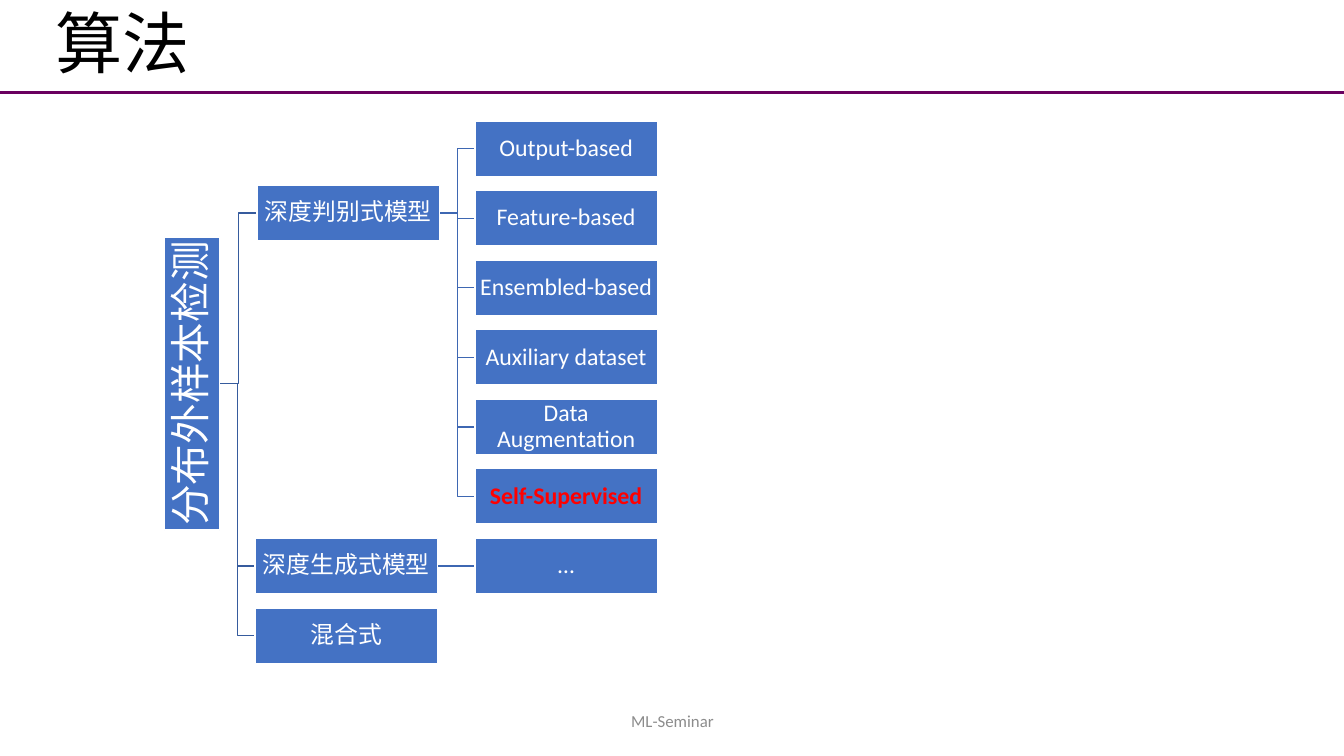
from dataclasses import dataclass

from lxml.etree import SubElement
from pptx import Presentation
from pptx.dml.color import RGBColor
from pptx.enum.shapes import MSO_CONNECTOR as Connector, MSO_SHAPE as Preset
from pptx.enum.text import MSO_ANCHOR as Anchor, MSO_AUTO_SIZE as AutoSize, PP_ALIGN as Align
from pptx.oxml.ns import qn
from pptx.slide import Slide
from pptx.text.text import TextFrame
from pptx.util import Inches, Pt

COLORS = {
    "title": "000000",
    "rule": "6A005F",
    "footer": "8C8C8C",
    "box": "4472C4",
    "white": "FFFFFF",
    "highlight": "FF0000",
    "trunk": "365B9D",
    "twig": "3E67B2",
}
FONT = "Calibri"
SLIDE_WIDTH, SLIDE_HEIGHT = 13.33, 7.5
HEADER_HEIGHT = 0.92
BOX_WIDTH, BOX_HEIGHT = 1.81, 0.55
ROOT_LENGTH = 2.91
METHOD_LEFT, FIRST_ROW, ROW_PITCH = 4.71, 1.2, 0.69


@dataclass(frozen=True)
class Node:
    label: str
    left: float
    top: float
    width: float = BOX_WIDTH
    height: float = BOX_HEIGHT
    size: int = 17
    margin: float = 0.01
    color: str = "white"
    bold: bool = False
    upright: bool = False

    @property
    def right(self) -> float:
        return self.left + self.width

    @property
    def middle(self) -> float:
        return self.top + self.height / 2


def rgb(name: str) -> RGBColor:
    return RGBColor.from_string(COLORS[name])


def row_top(row: int) -> float:
    return FIRST_ROW + row * ROW_PITCH


def write(frame: TextFrame, text: str, size: int, color: str, align: Align,
          spacing: float = 1.0, bold: bool = False) -> None:
    frame.word_wrap = True
    frame.auto_size = AutoSize.NONE
    frame.vertical_anchor = Anchor.MIDDLE
    paragraph = frame.paragraphs[0]
    paragraph.text = text
    paragraph.alignment = align
    paragraph.line_spacing = spacing
    paragraph.font.name = FONT
    paragraph.font.size = Pt(size)
    paragraph.font.bold = bold
    paragraph.font.color.rgb = rgb(color)


def draw_header(slide: Slide) -> None:
    title = slide.shapes.title
    title.left, title.top = Inches(0), Inches(0)
    title.width, title.height = Inches(SLIDE_WIDTH), Inches(HEADER_HEIGHT)
    title.text_frame.margin_left = Inches(0.55)
    write(title.text_frame, "算法", 48, "title", Align.LEFT, 0.9)
    rule = slide.shapes.add_connector(
        Connector.STRAIGHT, Inches(0), Inches(HEADER_HEIGHT),
        Inches(SLIDE_WIDTH), Inches(HEADER_HEIGHT))
    rule.line.color.rgb = rgb("rule")
    rule.line.width = Pt(2)
    SubElement(rule._element.spPr, qn("a:effectLst"))


def draw_footer(slide: Slide) -> None:
    footer = slide.shapes.add_textbox(Inches(4.42), Inches(6.95), Inches(4.5), Inches(0.4))
    write(footer.text_frame, "ML-Seminar", 12, "footer", Align.CENTER)


def draw_link(slide: Slide, parent: Node, child: Node, color: str) -> None:
    bend = (parent.right + child.left) / 2
    route = [(parent.right, parent.middle), (bend, parent.middle),
             (bend, child.middle), (child.left, child.middle)]
    start, *turns = [(Inches(x), Inches(y)) for x, y in route]
    builder = slide.shapes.build_freeform(*start)
    builder.add_line_segments(turns, close=False)
    link = builder.convert_to_shape()
    link.shadow.inherit = False
    link.fill.background()
    link.line.color.rgb = rgb(color)
    link.line.width = Pt(1)


def draw_node(slide: Slide, node: Node) -> None:
    left, top, width, height = node.left, node.top, node.width, node.height
    if node.upright:
        shift = (height - width) / 2
        left, top, width, height = left - shift, top + shift, height, width
    box = slide.shapes.add_shape(
        Preset.RECTANGLE, Inches(left), Inches(top), Inches(width), Inches(height))
    box.rotation = 270 if node.upright else 0
    box.shadow.inherit = False
    box.fill.solid()
    box.fill.fore_color.rgb = rgb("box")
    box.line.color.rgb = rgb("white")
    box.line.width = Pt(1)
    frame = box.text_frame
    frame.margin_left = frame.margin_right = Inches(node.margin)
    frame.margin_top = frame.margin_bottom = Inches(node.margin)
    write(frame, node.label, node.size, node.color, Align.CENTER, 0.9, node.bold)


def draw_tree(slide: Slide) -> None:
    root = Node("分布外样本检测", 1.63, 2.35, BOX_HEIGHT, ROOT_LENGTH,
                size=29, margin=0.02, upright=True)
    discriminative = Node("深度判别式模型", 2.55, 1.84)
    generative = Node("深度生成式模型", 2.53, row_top(6))
    hybrid = Node("混合式", 2.53, row_top(7))
    labels = ["Output-based", "Feature-based", "Ensembled-based",
              "Auxiliary dataset", "Data Augmentation"]
    methods = [Node(label, METHOD_LEFT, row_top(row)) for row, label in enumerate(labels)]
    methods.append(Node("Self-Supervised", METHOD_LEFT, row_top(5),
                        color="highlight", bold=True))
    others = Node("…", METHOD_LEFT, row_top(6))
    families = [discriminative, generative, hybrid]

    for family in families:
        draw_link(slide, root, family, "trunk")
    for method in methods:
        draw_link(slide, discriminative, method, "twig")
    draw_link(slide, generative, others, "twig")
    for node in [root, *families, *methods, others]:
        draw_node(slide, node)


def main() -> None:
    deck = Presentation()
    deck.slide_width, deck.slide_height = Inches(SLIDE_WIDTH), Inches(SLIDE_HEIGHT)
    slide = deck.slides.add_slide(deck.slide_layouts.get_by_name("Title Only"))
    draw_header(slide)
    draw_footer(slide)
    draw_tree(slide)
    deck.save("out.pptx")


if __name__ == "__main__":
    main()
